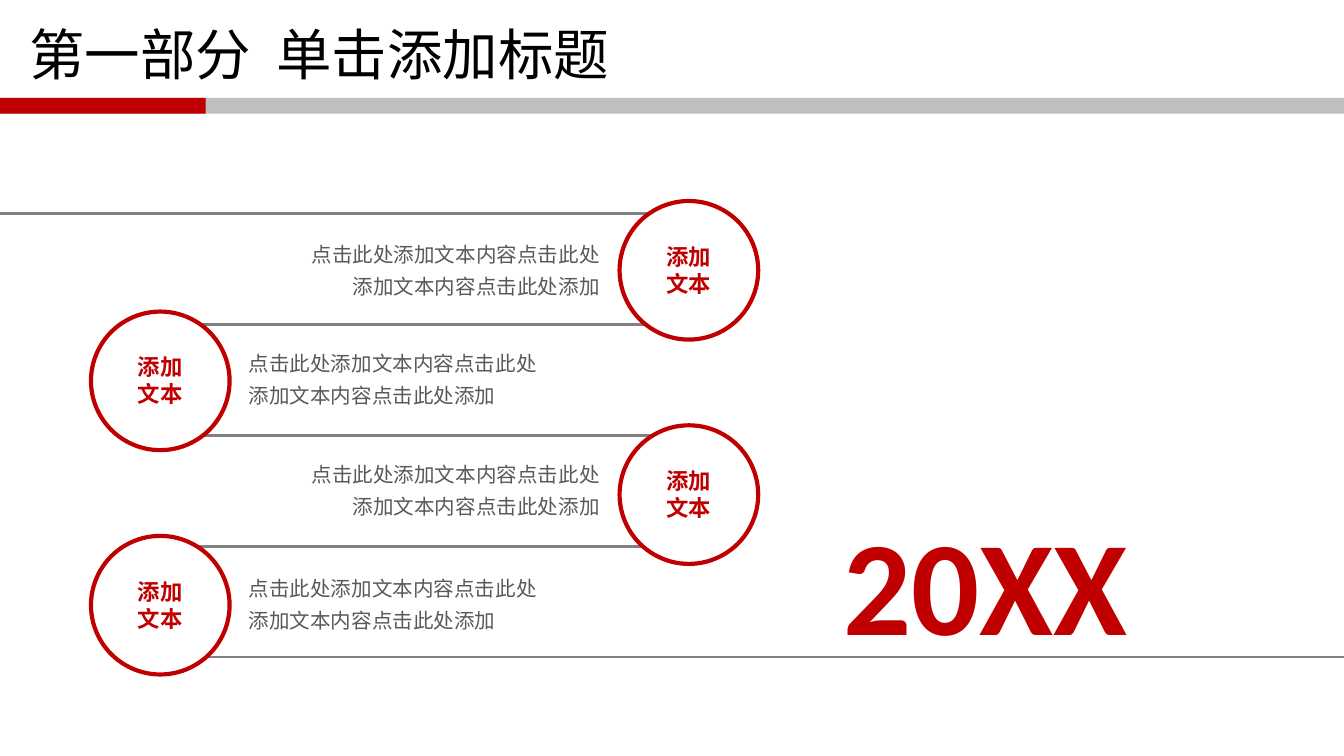
import pptx
import pptx.dml.color
import pptx.enum.shapes
import pptx.enum.text
import pptx.oxml.ns
import pptx.util
from lxml import etree

Cm, Pt = pptx.util.Cm, pptx.util.Pt
ALIGN = pptx.enum.text.PP_ALIGN
ANCHOR = pptx.enum.text.MSO_ANCHOR
SHAPE = pptx.enum.shapes.MSO_SHAPE
qn = pptx.oxml.ns.qn

WIDTH, HEIGHT = 25.4, 14.29
RED, GREY, SILVER = "C00000", "808080", "BFBFBF"
CIRCLE = 2.62
LEFT_X, RIGHT_X = 1.72, 11.71
BODY = "点击此处添加文本内容点击此处添加文本内容点击此处添加"

TITLE = dict(size=29.7, name="Calibri", color="000000", bold=False)
LABEL = dict(size=12, name="Noto Sans CJK SC", color=RED, bold=True)
DETAIL = dict(size=11, name="Calibri", color="595959", bold=False)
YEAR = dict(size=72, name="Calibri", color=RED, bold=True)


def rgb(value):
    return pptx.dml.color.RGBColor.from_string(value)


def write(tf, lines, font, align=ALIGN.LEFT, spacing=None):
    """Fill a text frame, one paragraph for each line."""
    for i, line in enumerate(lines):
        p = tf.add_paragraph() if i else tf.paragraphs[0]
        for name, value in dict(alignment=align, line_spacing=spacing).items():
            setattr(p, name, value)
        r = p.add_run()
        r.text = line
        values = dict(size=Pt(font["size"]), name=font["name"], bold=font["bold"])
        for name, value in values.items():
            setattr(r.font, name, value)
        r.font.color.rgb = rgb(font["color"])
        ea = etree.SubElement(r.font._element, qn("a:ea"))
        ea.set("typeface", font["name"])


def add_text(s, box, lines, font, align=ALIGN.LEFT, spacing=None, wrap=True):
    tf = s.shapes.add_textbox(*map(Cm, box)).text_frame
    tf.word_wrap = wrap
    tf.auto_size = pptx.enum.text.MSO_AUTO_SIZE.SHAPE_TO_FIT_TEXT
    write(tf, lines, font, align, spacing)


def add_filled(s, kind, box, fill, line=None):
    sp = s.shapes.add_shape(kind, *map(Cm, box))
    sp.shadow.inherit = False
    sp.fill.solid()
    sp.fill.fore_color.rgb = rgb(fill)
    if line:
        sp.line.color.rgb = rgb(line)
        sp.line.width = Pt(2.25)
    else:
        sp.line.fill.background()


def add_rule(s, x1, x2, y):
    """Draw a horizontal grey line."""
    c = s.shapes.add_connector(
        pptx.enum.shapes.MSO_CONNECTOR.STRAIGHT, Cm(x1), Cm(y), Cm(x2), Cm(y))
    c.line.color.rgb = rgb(GREY)
    c.line.width = Pt(1.5)
    etree.SubElement(c._element.spPr, qn("a:effectLst"))


def add_header(s, left, top, width):
    for bar_width, color in ((width, SILVER), (3.89, RED)):
        add_filled(s, SHAPE.RECTANGLE, (left, top + 1.85, bar_width, 0.3), color)
    title = s.shapes.title
    box = dict(left=left + 0.3, top=top + 0.61, width=22.86, height=0.97)
    for name, value in box.items():
        setattr(title, name, Cm(value))
    tf = title.text_frame
    tf.vertical_anchor = ANCHOR.MIDDLE
    tf.auto_size = pptx.enum.text.MSO_AUTO_SIZE.NONE
    write(tf, ["第一部分  单击添加标题"], TITLE, spacing=0.9)


def add_rules(s, top, step):
    """Draw the winding track: open to the left at first, to the right at last."""
    spans = [(0, 12.95)] + [(3.05, 12.95)] * 3 + [(3.05, WIDTH)]
    for i, (x1, x2) in enumerate(spans):
        add_rule(s, x1, x2, top + i * step)


def add_stop(s, left, top):
    """Draw a labelled circle."""
    add_filled(s, SHAPE.OVAL, (left, top, CIRCLE, CIRCLE), "FFFFFF", RED)
    add_text(s, (left + 0.62, top + 0.67, 1.38, 1.27), ["添加", "文本"],
             LABEL, ALIGN.CENTER, wrap=False)


def add_timeline(s, top):
    add_rules(s, top, 2.095)
    text_tops = (0.28, 2.34, 4.42, 6.58)
    for i, text_top in enumerate(text_tops):
        pair, on_left = divmod(i, 2)
        add_stop(s, LEFT_X if on_left else RIGHT_X,
                 top - 0.24 + pair * 4.24 + on_left * 2.09)
        add_text(s, (4.45 if on_left else 5.49, top + text_top, 6.1, 1.42), [BODY],
                 DETAIL, ALIGN.LEFT if on_left else ALIGN.RIGHT, spacing=1.3)
    add_text(s, (15.7, top + 5.31, 5.94, 3.33), ["20XX"], YEAR, wrap=False)


def main():
    prs = pptx.Presentation()
    prs.slide_width, prs.slide_height = Cm(WIDTH), Cm(HEIGHT)
    s = prs.slides.add_slide(prs.slide_layouts[5])
    add_header(s, 0, 0, WIDTH)
    add_timeline(s, 4.04)
    prs.save("out.pptx")


if __name__ == "__main__":
    main()
